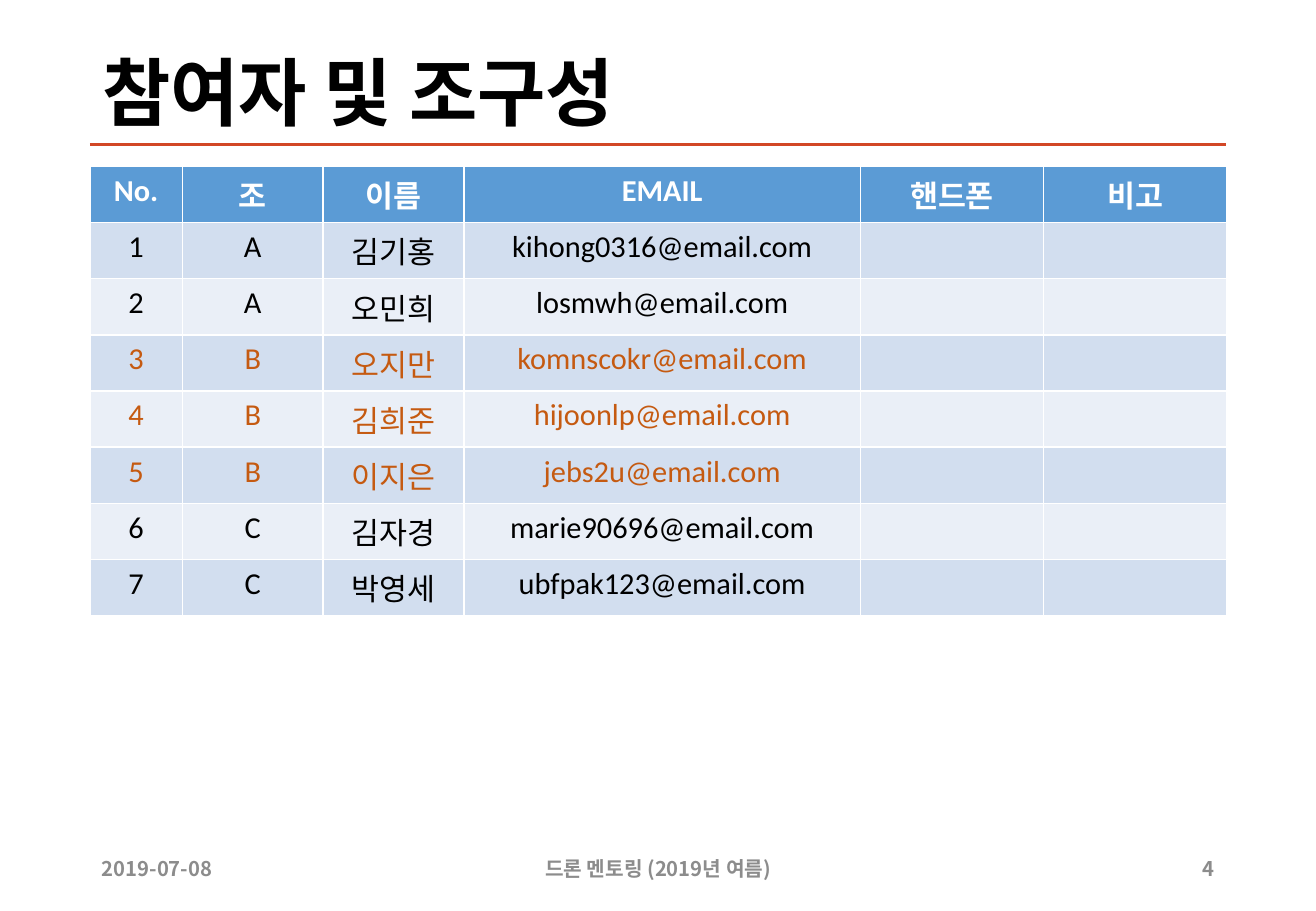
from pptx import Presentation
from pptx.dml.color import RGBColor
from pptx.enum.shapes import MSO_CONNECTOR
from pptx.enum.text import MSO_ANCHOR, MSO_AUTO_SIZE, PP_ALIGN
from pptx.oxml.ns import qn
from pptx.util import Inches, Pt
from lxml import etree

STRAIGHT = MSO_CONNECTOR.STRAIGHT
MIDDLE = MSO_ANCHOR.MIDDLE
NO_AUTOFIT = MSO_AUTO_SIZE.NONE
LEFT, CENTER, RIGHT = PP_ALIGN.LEFT, PP_ALIGN.CENTER, PP_ALIGN.RIGHT

BLACK = RGBColor(0x00, 0x00, 0x00)
WHITE = RGBColor(0xFF, 0xFF, 0xFF)
RULE_RED = RGBColor(0xD2, 0x47, 0x26)
HEADER_BLUE = RGBColor(0x5B, 0x9B, 0xD5)
BAND_DARK = RGBColor(0xD2, 0xDE, 0xEF)
BAND_LIGHT = RGBColor(0xEA, 0xEF, 0xF7)
GROUP_ORANGE = RGBColor(0xC5, 0x5A, 0x11)
FOOTER_GRAY = RGBColor(0x8C, 0x8C, 0x8C)

TITLE_FONT, TABLE_FONT, FOOTER_FONT = "Times New Roman", "Calibri", "Noto Sans CJK KR"
MARGIN, CONTENT_WIDTH = 0.74, 9.35
ROW_HEIGHT = 0.41

COLUMNS = [("No.", 0.76), ("조", 1.16), ("이름", 1.16), ("EMAIL", 3.26),
           ("핸드폰", 1.51), ("비고", 1.51)]
MEMBERS = [
    ("A", "김기홍", "kihong0316"),
    ("A", "오민희", "losmwh"),
    ("B", "오지만", "komnscokr"),
    ("B", "김희준", "hijoonlp"),
    ("B", "이지은", "jebs2u"),
    ("C", "김자경", "marie90696"),
    ("C", "박영세", "ubfpak123"),
]
GROUP_COLORS = {"A": BLACK, "B": GROUP_ORANGE, "C": BLACK}


def format_paragraph(paragraph, font_name, size, color, bold, alignment):
    """Set the font and alignment of one paragraph."""
    paragraph.alignment = alignment
    font = paragraph.font
    font.name, font.size, font.bold = font_name, Pt(size), bold
    font.color.rgb = color


def add_title(slide, text, left, top, width, height):
    """Fill the title placeholder and rule a line along its lower edge."""
    title = slide.shapes.title
    title.left, title.top = Inches(left), Inches(top)
    title.width, title.height = Inches(width), Inches(height)
    frame = title.text_frame
    frame.text = text
    frame.auto_size = NO_AUTOFIT
    frame.vertical_anchor = MIDDLE
    paragraph = frame.paragraphs[0]
    paragraph.line_spacing = 0.9
    format_paragraph(paragraph, TITLE_FONT, 44, BLACK, True, LEFT)

    bottom = Inches(top + height)
    rule = slide.shapes.add_connector(
        STRAIGHT, Inches(left), bottom, Inches(left + width), bottom)
    rule.line.color.rgb = RULE_RED
    rule.line.width = Pt(2)
    etree.SubElement(rule._element.spPr, qn("a:effectLst"))


def fill_row(table, row_index, texts, fill, color, bold):
    """Write and colour one table row; cells past the texts stay empty."""
    for column_index, cell in enumerate(table.rows[row_index].cells):
        cell.fill.solid()
        cell.fill.fore_color.rgb = fill
        if column_index < len(texts):
            cell.text = texts[column_index]
            format_paragraph(cell.text_frame.paragraphs[0],
                             TABLE_FONT, 18, color, bold, CENTER)


def add_member_table(slide, left, top, width):
    """Add the banded table of participants and their groups."""
    row_count = len(MEMBERS) + 1
    table = slide.shapes.add_table(
        row_count, len(COLUMNS), Inches(left), Inches(top),
        Inches(width), Inches(ROW_HEIGHT * row_count)).table
    for column, (_, column_width) in zip(table.columns, COLUMNS):
        column.width = Inches(column_width)

    fill_row(table, 0, [heading for heading, _ in COLUMNS], HEADER_BLUE, WHITE, True)
    for number, (group, name, account) in enumerate(MEMBERS, start=1):
        fill_row(table, number, [str(number), group, name, f"{account}@email.com"],
                 BAND_DARK if number % 2 else BAND_LIGHT, GROUP_COLORS[group], False)


def add_footer(slide, left, top, width, height):
    """Place date, course name and page number at left, centre and right."""
    parts = [("2019-07-08", 1.27, LEFT, 0),
             ("드론 멘토링 (2019년 여름)", 3.66, CENTER, 0.5),
             ("4", 0.53, RIGHT, 1)]
    for text, part_width, alignment, share in parts:
        part_left = left + (width - part_width) * share
        box = slide.shapes.add_textbox(
            Inches(part_left), Inches(top), Inches(part_width), Inches(height))
        frame = box.text_frame
        frame.word_wrap = True
        frame.vertical_anchor = MIDDLE
        frame.text = text
        format_paragraph(frame.paragraphs[0], FOOTER_FONT, 12,
                         FOOTER_GRAY, True, alignment)


def main():
    """Build the participant slide and save it."""
    presentation = Presentation()
    presentation.slide_width, presentation.slide_height = Inches(10.83), Inches(7.5)
    slide = presentation.slides.add_slide(presentation.slide_layouts[5])
    add_title(slide, "참여자 및 조구성", MARGIN, 0.4, CONTENT_WIDTH, 0.79)
    add_member_table(slide, MARGIN, 1.37, CONTENT_WIDTH)
    add_footer(slide, MARGIN, 6.95, CONTENT_WIDTH, 0.4)
    presentation.save("out.pptx")


main()
